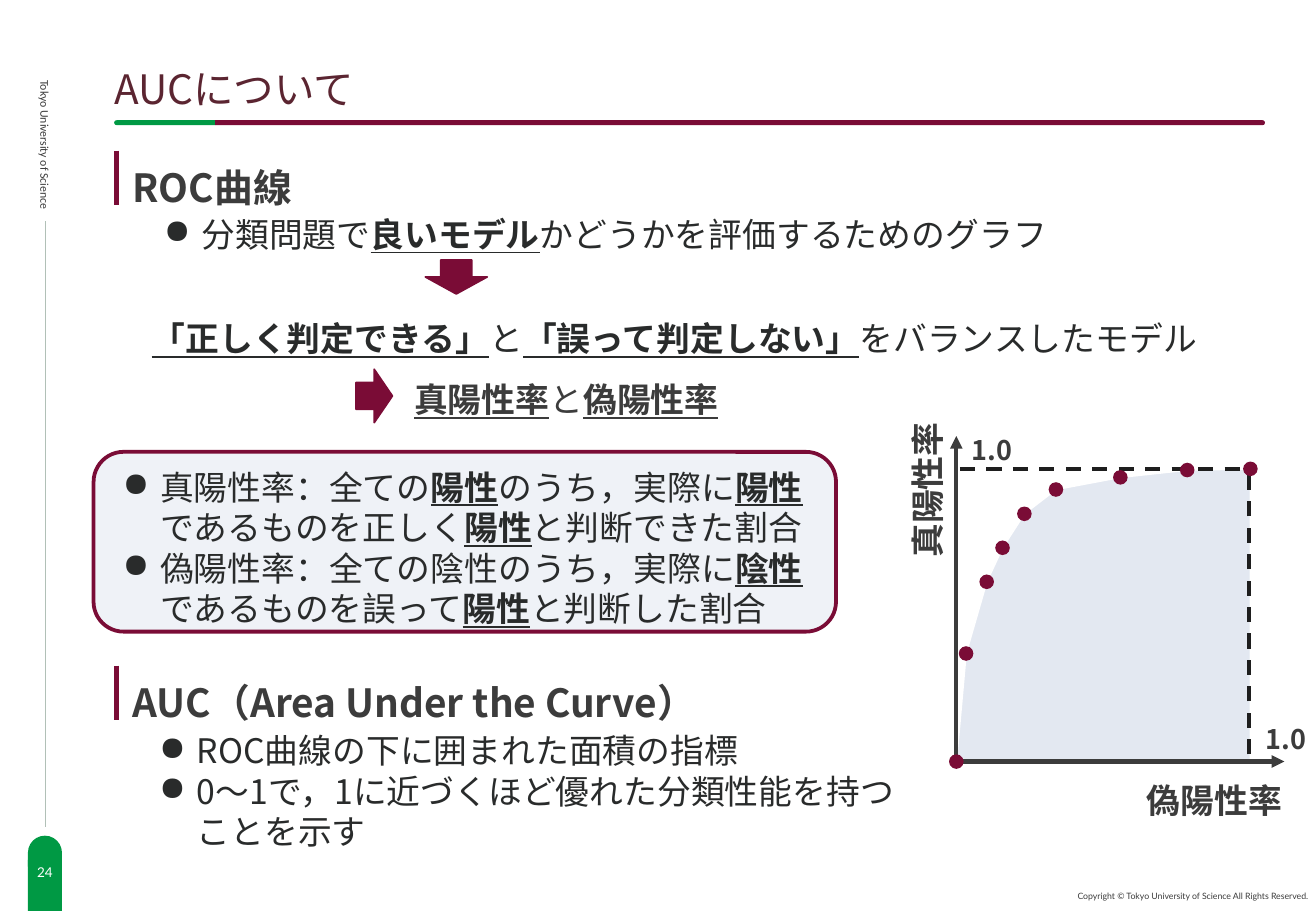
import lxml.etree
import pptx
import pptx.dml.color
import pptx.enum.dml
import pptx.enum.shapes
import pptx.enum.text
import pptx.oxml.ns
import pptx.util

EMU_PER_PX = 9144
COLORS = {
    "white": "FFFFFF", "green": "009944", "maroon": "7A0C36", "title": "5B2531",
    "body": "292B2B", "gray": "3C3C3C", "dash": "1E1E1E", "rail": "B1C0B7",
    "panel": "EFF2F7", "area": "E3E8F1",
}
MAIN_FONT = "Noto Sans CJK JP"
SHAPES = pptx.enum.shapes.MSO_SHAPE
ALIGN = pptx.enum.text.PP_ALIGN
ANCHOR = pptx.enum.text.MSO_ANCHOR


def px(value):
    return round(value * EMU_PER_PX)


def color(name):
    return pptx.dml.color.RGBColor.from_string(COLORS[name])


def add_element(parent, tag, **attributes):
    return lxml.etree.SubElement(parent, pptx.oxml.ns.qn(tag), attributes)


def rotated_frame(left, top, width, height, rotation):
    if rotation % 180:
        shift = (width - height) / 2
        left, top, width, height = left + shift, top - shift, height, width
    return px(left), px(top), px(width), px(height)


def style_shape(shape, fill, line=None, line_width=1):
    shape.shadow.inherit = False
    shape.fill.solid()
    shape.fill.fore_color.rgb = color(fill)
    if line:
        shape.line.color.rgb = color(line)
        shape.line.width = pptx.util.Pt(line_width)
    else:
        shape.line.fill.background()


def add_shape(slide, kind, left, top, width, height, fill, line=None, line_width=1,
              rotation=0, adjustments=()):
    shape = slide.shapes.add_shape(kind, *rotated_frame(left, top, width, height, rotation))
    shape.rotation = rotation
    for index, value in enumerate(adjustments):
        shape.adjustments[index] = value
    style_shape(shape, fill, line, line_width)


def add_line(slide, x1, y1, x2, y2, line, width, dashed=False, arrow=False):
    connector = slide.shapes.add_connector(
        pptx.enum.shapes.MSO_CONNECTOR.STRAIGHT, px(x1), px(y1), px(x2), px(y2))
    connector.line.color.rgb = color(line)
    connector.line.width = pptx.util.Pt(width)
    if dashed:
        connector.line.dash_style = pptx.enum.dml.MSO_LINE.DASH
    if arrow:
        add_element(connector.line._get_or_add_ln(), "a:tailEnd", type="triangle")
    add_element(connector._element.spPr, "a:effectLst")


def add_text(slide, left, top, width, height, *paragraphs, size=20, font=MAIN_FONT,
             fill="body", bold=False, inset=True, indent=0, bullet=False, spacing=None,
             align=ALIGN.LEFT, anchor=ANCHOR.TOP, rotation=0):
    box = slide.shapes.add_textbox(*rotated_frame(left, top, width, height, rotation))
    box.rotation = rotation
    frame = box.text_frame
    frame.word_wrap = True
    frame.vertical_anchor = anchor
    if not inset:
        frame.margin_left = frame.margin_right = frame.margin_top = frame.margin_bottom = 0
    for index, text in enumerate(paragraphs):
        paragraph = frame.paragraphs[0] if index == 0 else frame.add_paragraph()
        properties = paragraph._p.get_or_add_pPr()
        properties.set("marL", str(px(50 if bullet else indent)))
        properties.set("indent", str(px(-31 if bullet else 0)))
        if bullet:
            add_element(properties, "a:buChar", char="●")
        paragraph.alignment = align
        if spacing:
            paragraph.line_spacing = spacing
        for part, words in enumerate(text.split("*")):
            if not words:
                continue
            emphasis = part % 2 == 1
            run = paragraph.add_run()
            run.text = words
            run.font.size = pptx.util.Pt(size)
            run.font.bold = bold or emphasis
            run.font.underline = emphasis
            run.font.color.rgb = color(fill)
            run.font.name = font
            add_element(run._r.get_or_add_rPr(), "a:ea", typeface=font)


def add_side_rail(slide, left, top):
    middle = left + 14
    add_text(slide, left + 8, top, 12, 114, "Tokyo University of Science", size=7,
             font="Calibri", fill="gray", inset=False, rotation=90)
    add_line(slide, middle, top + 116, middle, top + 615, "rail", 0.25)
    add_shape(slide, SHAPES.ROUNDED_RECTANGLE, left, top + 622, 28, 39, "green",
              adjustments=[0.5])
    add_shape(slide, SHAPES.RECTANGLE, left, top + 642, 28, 42, "green")
    add_text(slide, left + 1, top + 637, 26, 30, "24", size=8, font="Lato", fill="white",
             inset=False, align=ALIGN.CENTER, anchor=ANCHOR.MIDDLE)


def add_header(slide, left, top, width):
    green_width = 83
    add_text(slide, left, top, width, 46, "AUCについて", size=24, fill="title",
             inset=False, spacing=1.2)
    for start, length, fill, rotation in (
            (left, green_width, "green", 270),
            (left + green_width, width - green_width, "maroon", 90)):
        add_shape(slide, SHAPES.ROUND_2_SAME_RECTANGLE, start, top + 54, length, 4, fill,
                  rotation=rotation, adjustments=[0.5, 0])


def add_heading(slide, left, top, width, text):
    add_line(slide, left, top, left, top + 45, "maroon", 3)
    add_text(slide, left + 13, top + 3, width, 45, text, size=23, fill="gray", bold=True,
             inset=False, spacing=1.2)


def add_roc_section(slide, left, top):
    add_heading(slide, left, top, 267, "ROC曲線")
    add_text(slide, left + 10, top + 47, 922, 44,
             "分類問題で*良いモデル*かどうかを評価するためのグラフ", bullet=True)
    add_shape(slide, SHAPES.DOWN_ARROW, left + 254, top + 90, 51, 28, "maroon", "maroon")
    add_text(slide, left, top + 133, 922, 44,
             "*「正しく判定できる」*と*「誤って判定しない」*をバランスしたモデル", indent=19)
    add_shape(slide, SHAPES.RIGHT_ARROW, left + 197, top + 180, 30, 44, "maroon", "maroon")
    add_text(slide, left + 216, top + 183, 304, 44, "*真陽性率*と*偽陽性率*",
             fill="gray", indent=19)


def add_rates_panel(slide, left, top, width, height):
    add_shape(slide, SHAPES.ROUNDED_RECTANGLE, left, top, width, height, "panel",
              "maroon", 2.25)
    add_text(slide, left - 5, top + 7, width + 5, height - 3,
             "真陽性率：全ての*陽性*のうち，実際に*陽性*であるものを正しく*陽性*と判断できた割合",
             "偽陽性率：全ての陰性のうち，実際に*陰性*であるものを誤って*陽性*と判断した割合",
             bullet=True)


def add_auc_section(slide, left, top):
    add_heading(slide, left, top, 508, "AUC（Area Under the Curve）")
    add_text(slide, left + 6, top + 48, 659, 111, "ROC曲線の下に囲まれた面積の指標",
             "0～1で，1に近づくほど優れた分類性能を持つことを示す", bullet=True)


def add_roc_plot(slide, left, top, width, height):
    right, bottom = left + width, top + height
    rises = [(0, 0), (8, 89), (25, 148), (38, 176), (56, 204), (82, 224),
             (135, 234), (190, 240), (width, height)]
    points = [(left + x, bottom - y) for x, y in rises]

    builder = slide.shapes.build_freeform(*points[0], scale=EMU_PER_PX)
    builder.add_line_segments(points[1:] + [(right, bottom)], close=True)
    style_shape(builder.convert_to_shape(), "area", "white")

    add_line(slide, left, bottom, right + 28, bottom, "gray", 2.5, arrow=True)
    add_line(slide, left, bottom, left, top - 27, "gray", 2.5, arrow=True)
    add_line(slide, left + 3, top, right - 8, top, "dash", 2.25, dashed=True)
    add_line(slide, right - 1, bottom - 6, right - 1, top, "dash", 2.25, dashed=True)

    label = {"fill": "gray", "bold": True, "indent": 19}
    add_text(slide, left - 46, top - 52, 44, 154, "真陽性率", rotation=270, **label)
    add_text(slide, right - 114, bottom + 10, 169, 44, "偽陽性率", **label)
    for x, y in ((left - 16, top - 34), (right - 16, bottom - 37)):
        add_text(slide, x, y, 83, 37, "1.0", size=16, **label)

    for x, y in points:
        add_shape(slide, SHAPES.OVAL, x - 6, y - 6, 12, 12, "maroon")


def add_footer(slide, left, top, width):
    add_text(slide, left, top, width, 12,
             "Copyright © Tokyo University of Science All Rights Reserved.",
             size=5.2, font="Lato", fill="gray", inset=False, spacing=1.05,
             align=ALIGN.RIGHT)


def main():
    presentation = pptx.Presentation()
    presentation.slide_width = px(1083)
    presentation.slide_height = px(750)
    slide = presentation.slides.add_slide(presentation.slide_layouts[6])
    add_side_rail(slide, 23, 66)
    add_header(slide, 94, 45, 947)
    add_roc_section(slide, 96, 124)
    add_rates_panel(slide, 77, 372, 611, 148)
    add_auc_section(slide, 96, 548)
    add_roc_plot(slide, 787, 386, 242, 241)
    add_footer(slide, 869, 733, 208)
    presentation.save("out.pptx")


if __name__ == "__main__":
    main()
